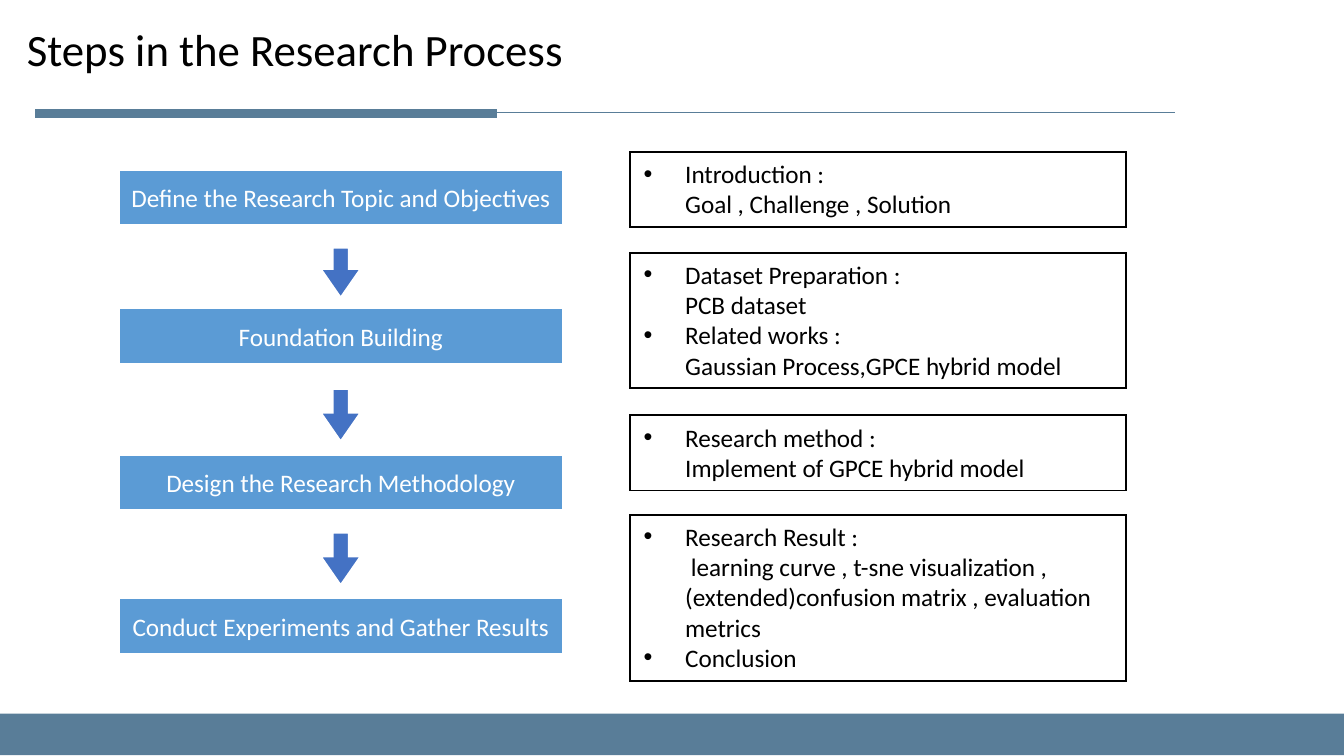
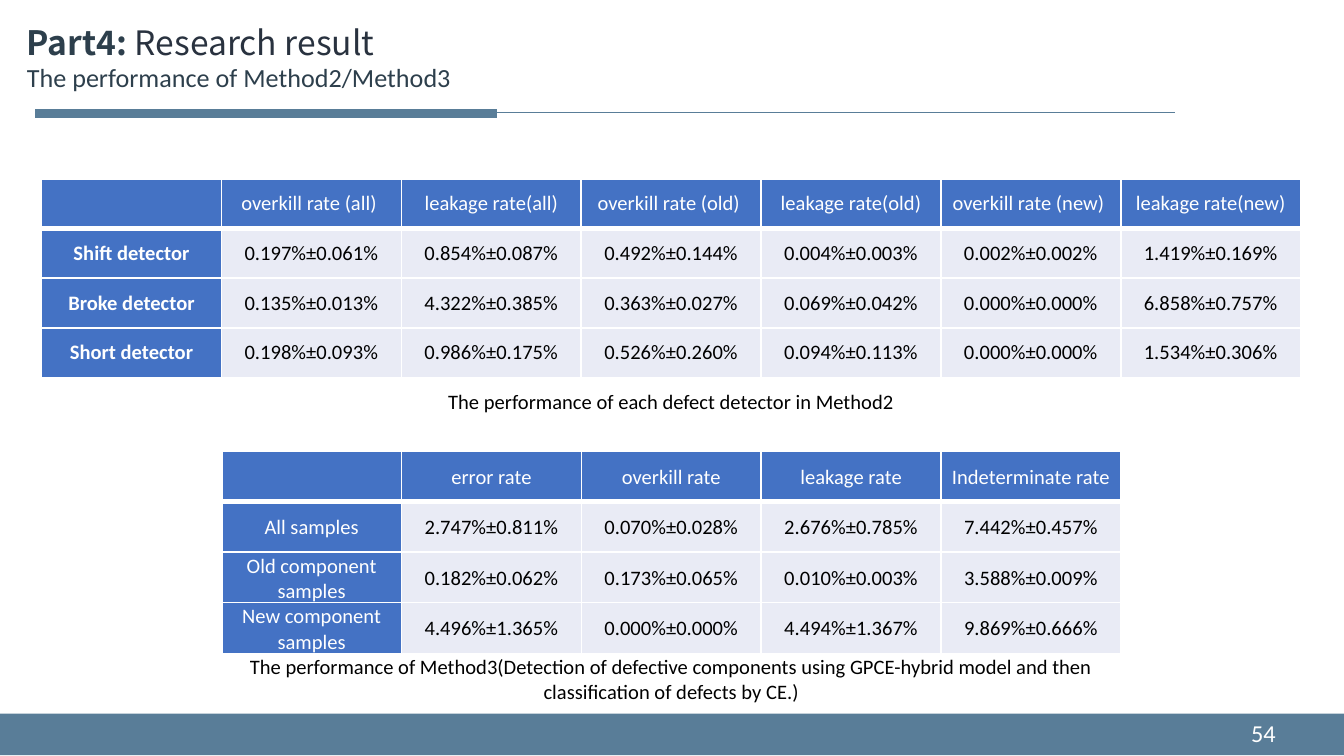
from lxml.etree import SubElement as Sub
from pptx import Presentation
from pptx.dml.color import RGBColor
from pptx.enum.shapes import MSO_CONNECTOR as Line, MSO_SHAPE as Shape
from pptx.enum.text import MSO_ANCHOR as Anchor, MSO_AUTO_SIZE as Fit, PP_ALIGN as Align
from pptx.oxml.ns import qn
from pptx.util import Inches, Pt

SLATE, NAVY, INK = "597D98", "2D3F4C", "29323F"
BLUE, SKY, PALE = "4472C4", "5B9BD5", "E9EBF5"
WHITE, BLACK = "FFFFFF", "000000"


def style(font, size, color, bold=False, name="Calibri"):
    font.name, font.size, font.bold = name, Pt(size), bold
    font.color.rgb = RGBColor.from_string(color)


def draw(slide, kind, box, fill, line, width):
    """Add a preset shape with a flat fill and a sharp-cornered outline."""
    shape = slide.shapes.add_shape(kind, *map(Inches, box))
    shape.shadow.inherit = False
    shape.fill.solid()
    shape.fill.fore_color.rgb = RGBColor.from_string(fill)
    shape.line.color.rgb = RGBColor.from_string(line)
    shape.line.width = Pt(width)
    Sub(shape._element.spPr.find(qn("a:ln")), qn("a:miter"), lim="800000")
    return shape


deck = Presentation()
deck.slide_width, deck.slide_height = Inches(10), Inches(10 * 9 / 16)
layout = deck.slide_layouts[5]
steps, result = [deck.slides.add_slide(layout) for _ in range(2)]

# Shared band, rule and title frame
for slide, wide, tall in (steps, 7.65, 0.5), (result, 9.53, 0.88):
    band = draw(slide, Shape.RECTANGLE, (0, 5.31, 10, 0.31), SLATE, SLATE, 1)
    band.line.fill.background()
    rule = slide.shapes.add_connector(
        Line.STRAIGHT, Inches(8.74), Inches(0.84), Inches(0.27), Inches(0.84))
    rule.line.color.rgb = RGBColor.from_string(SLATE)
    rule.line.width = Pt(0.5)
    Sub(rule._element.spPr, qn("a:effectLst"))
    draw(slide, Shape.RECTANGLE, (0.27, 0.82, 3.42, 0.05), SLATE, SLATE, 1)
    title = slide.shapes.title
    title.left, title.top = Inches(0.1), Inches(0.11)
    title.width, title.height = Inches(wide), Inches(tall)
    frame = title.text_frame
    frame.word_wrap, frame.auto_size = True, Fit.NONE
    frame.vertical_anchor = Anchor.TOP

# Slide 1: steps
head = steps.shapes.title.text_frame.paragraphs[0]
head.text = "Steps in the Research Process"
head.alignment = Align.LEFT
style(head.font, 24, BLACK)

for top, label in (
    (1.26, "Define the Research Topic and Objectives"),
    (2.29, "Foundation Building"),
    (3.38, "Design the Research Methodology"),
    (4.45, "Conduct Experiments and Gather Results"),
):
    step = draw(steps, Shape.RECTANGLE, (0.88, top, 3.31, 0.42), SKY, WHITE, 1.5)
    frame = step.text_frame
    frame.margin_left = frame.margin_right = Inches(0.05)
    frame.vertical_anchor = Anchor.MIDDLE
    para = frame.paragraphs[0]
    para.text, para.alignment = label, Align.CENTER
    style(para.font, 13.5, WHITE)

for top, tall in (1.84, 0.38), (2.89, 0.4), (3.96, 0.4):
    arrow = draw(steps, Shape.DOWN_ARROW, (2.38, top, 0.31, tall), BLUE, WHITE, 1.5)
    arrow.adjustments[0], arrow.adjustments[1] = 0.41, 0.72

for top, tall, items in (
    (1.13, 0.56, ["Introduction : \nGoal , Challenge , Solution"]),
    (1.88, 1.01, ["Dataset Preparation : \nPCB dataset",
                  "Related works : \nGaussian Process,GPCE hybrid model"]),
    (3.09, 0.56, ["Research method : \nImplement of GPCE hybrid model"]),
    (3.83, 1.24, ["Research Result :\n learning curve , t-sne visualization , "
                  "(extended)confusion matrix , evaluation metrics",
                  "Conclusion"]),
):
    note = draw(steps, Shape.RECTANGLE, (4.69, top, 3.69, tall), WHITE, BLACK, 1)
    frame = note.text_frame
    frame.word_wrap, frame.vertical_anchor = True, Anchor.TOP
    for i, item in enumerate(items):
        para = frame.add_paragraph() if i else frame.paragraphs[0]
        para.text, para.alignment = item, Align.LEFT
        props = para._p.get_or_add_pPr()
        props.set("marL", str(Inches(0.31)))
        props.set("indent", str(-Inches(0.31)))
        Sub(props, qn("a:buFont"), typeface="Arial")
        Sub(props, qn("a:buChar"), char="•")
        style(para.font, 13.5, BLACK)

# Slide 2: results
frame = result.shapes.title.text_frame
head, sub = frame.paragraphs[0], frame.add_paragraph()
for text, color, bold in ("Part4: ", NAVY, True), ("Research result", INK, False):
    run = head.add_run()
    run.text = text
    style(run.font, 18, color, bold, "Noto Sans CJK SC")
sub.text = "The performance of Method2/Method3"
style(sub.font, 14, NAVY)
head.alignment = sub.alignment = Align.LEFT

page = result.shapes.add_textbox(Inches(7.34), Inches(5.3), Inches(2.25), Inches(0.3))
page.text_frame.word_wrap = True
page.text_frame.vertical_anchor = Anchor.MIDDLE
para = page.text_frame.paragraphs[0]
para.text, para.alignment = "54", Align.RIGHT
style(para.font, 13, WHITE)

detect = [
    ["", "overkill rate (all) ", "leakage rate(all)", "overkill rate (old) ",
     "leakage rate(old)", "overkill rate (new) ", "leakage rate(new)"],
    ["Shift detector", "0.197%±0.061%", "0.854%±0.087%", "0.492%±0.144%",
     "0.004%±0.003%", "0.002%±0.002%", "1.419%±0.169%"],
    ["Broke detector", "0.135%±0.013%", "4.322%±0.385%", "0.363%±0.027%",
     "0.069%±0.042%", "0.000%±0.000%", "6.858%±0.757%"],
    ["Short detector", "0.198%±0.093%", "0.986%±0.175%", "0.526%±0.260%",
     "0.094%±0.113%", "0.000%±0.000%", "1.534%±0.306%"],
    ["The performance of each defect detector in Method2"],
]
sample = [
    ["", "error rate", "overkill rate", "leakage rate", "Indeterminate rate"],
    ["All samples", "2.747%±0.811%", "0.070%±0.028%", "2.676%±0.785%", "7.442%±0.457%"],
    ["Old component samples", "0.182%±0.062%", "0.173%±0.065%", "0.010%±0.003%",
     "3.588%±0.009%"],
    ["New component samples", "4.496%±1.365%", "0.000%±0.000%", "4.494%±1.367%",
     "9.869%±0.666%"],
    ["The performance of Method3(Detection of defective components using "
     "GPCE-hybrid model and then classification of defects by CE.)"],
]

for rows, box, pad, strong in (
    (detect, (0.31, 1.33, 9.37, 1.85), 0, True),
    (sample, (1.65, 3.36, 6.69, 1.87), 0.01, False),
):
    last, cols = len(rows) - 1, len(rows[0])
    table = result.shapes.add_table(len(rows), cols, *map(Inches, box)).table
    table.first_row = table.horz_banding = False
    table.cell(last, 0).merge(table.cell(last, cols - 1))
    for r, row in enumerate(rows):
        for c in range(cols):
            cell = table.cell(r, c)
            cell.margin_left = cell.margin_right = cell.margin_top = Inches(pad)
            cell.margin_bottom = 0
            cell.vertical_anchor = Anchor.MIDDLE
            props = cell._tc.get_or_add_tcPr()
            for side in "LRTB":
                width = 3 if r == 0 and side == "B" else 1
                edge = Sub(props, qn("a:ln" + side), w=str(Pt(width)))
                Sub(Sub(edge, qn("a:solidFill")), qn("a:srgbClr"), val=WHITE)
            label = r < last and (r == 0 or c == 0)
            if r == last:
                cell.fill.background()
            else:
                cell.fill.solid()
                cell.fill.fore_color.rgb = RGBColor.from_string(BLUE if label else PALE)
            if c < len(row):
                para = cell.text_frame.paragraphs[0]
                para.text, para.alignment = row[c], Align.CENTER
                style(para.font, 11, WHITE if label else BLACK, strong and label and r > 0)

deck.save("out.pptx")
